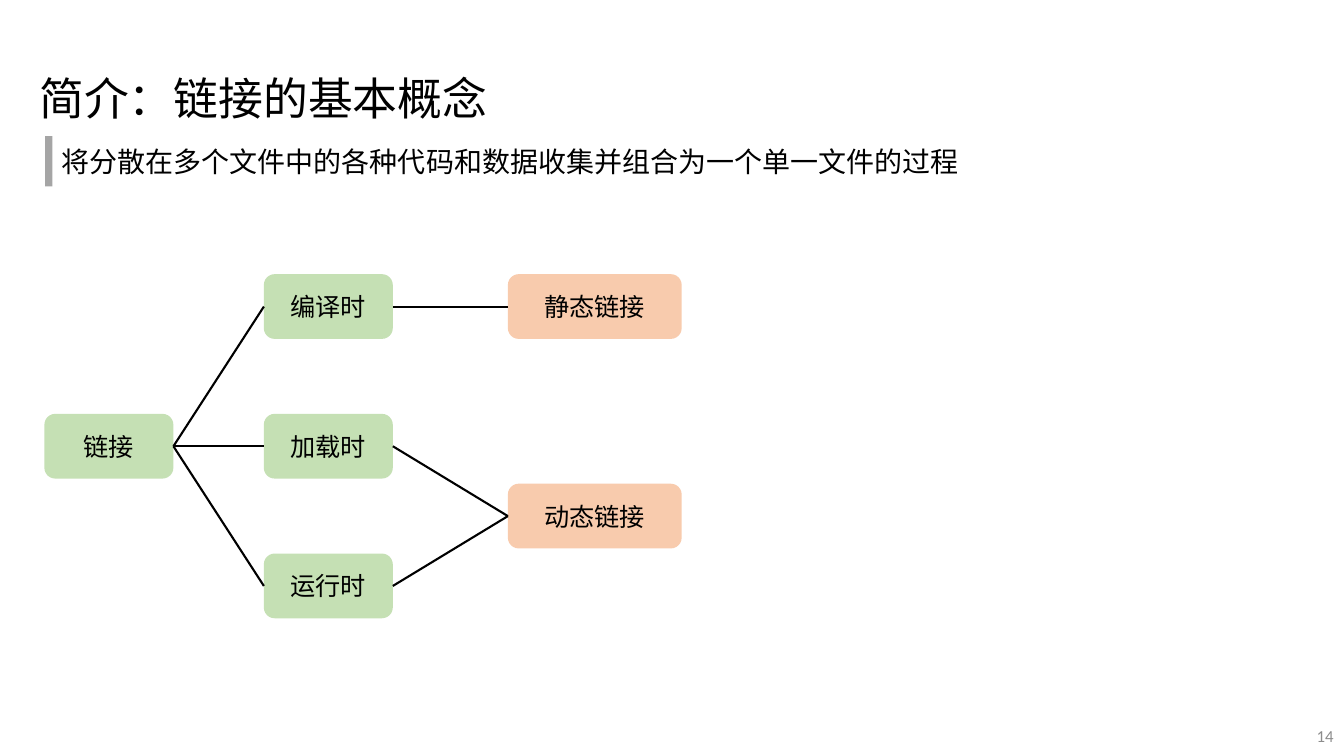
from lxml import etree
from pptx import Presentation
from pptx.dml.color import RGBColor
from pptx.enum.shapes import MSO_CONNECTOR, MSO_SHAPE
from pptx.enum.text import MSO_ANCHOR, PP_ALIGN
from pptx.oxml.ns import qn
from pptx.util import Cm, Pt

LINE = MSO_CONNECTOR.STRAIGHT
RECT, ROUND = MSO_SHAPE.RECTANGLE, MSO_SHAPE.ROUNDED_RECTANGLE
TOP, MIDDLE = MSO_ANCHOR.TOP, MSO_ANCHOR.MIDDLE
LEFT, CENTER, RIGHT = PP_ALIGN.LEFT, PP_ALIGN.CENTER, PP_ALIGN.RIGHT
BLACK = RGBColor(0x00, 0x00, 0x00)
GRAY = RGBColor(0x8C, 0x8C, 0x8C)
BAR = RGBColor(0xA5, 0xA5, 0xA5)
GREEN = RGBColor(0xC5, 0xE0, 0xB4)
ORANGE = RGBColor(0xF8, 0xCB, 0xAD)
SANS, LATIN = "Noto Sans CJK SC", "Calibri"


def write(shape, text, size, font, color, align, anchor=MIDDLE):
    frame = shape.text_frame
    frame.word_wrap = True
    frame.vertical_anchor = anchor
    para = frame.paragraphs[0]
    para.alignment = align
    run = para.add_run()
    run.text = text
    run.font.size = Pt(size)
    run.font.name = font
    run.font.color.rgb = color
    # East Asian glyphs take their own typeface
    etree.SubElement(run.font._element, qn("a:ea"), typeface=SANS)
    return para


def draw(kind, left, top, width, height, color):
    shape = slide.shapes.add_shape(kind, Cm(left), Cm(top), Cm(width), Cm(height))
    shape.shadow.inherit = False
    shape.fill.solid()
    shape.fill.fore_color.rgb = color
    shape.line.fill.background()
    return shape


deck = Presentation()
deck.slide_width, deck.slide_height = Cm(33.87), Cm(19.05)
slide = deck.slides.add_slide(deck.slide_layouts[6])

# Page number, title and definition
page = slide.shapes.add_textbox(Cm(26.24), Cm(18.03), Cm(7.62), Cm(1.02))
write(page, "14", 12, LATIN, GRAY, RIGHT)
title = slide.shapes.add_textbox(Cm(0.74), Cm(1.8), Cm(12.6), Cm(1.63))
write(title, "简介：链接的基本概念", 32, LATIN, BLACK, LEFT, TOP).line_spacing = 0.9
note = slide.shapes.add_textbox(Cm(1.3), Cm(3.43), Cm(23.44), Cm(1.27))
write(note, "将分散在多个文件中的各种代码和数据收集并组合为一个单一文件的过程",
      20, SANS, BLACK, LEFT)
draw(RECT, 1.14, 3.43, 0.18, 1.27, BAR)

# Tree nodes: text, left, row, width, fill
FIRST, PITCH, HIGH = 6.91, 3.52, 1.63
nodes = [
    ("链接", 1.12, 1, 3.25, GREEN),
    ("编译时", 6.65, 0, 3.25, GREEN),
    ("加载时", 6.65, 1, 3.25, GREEN),
    ("运行时", 6.65, 2, 3.25, GREEN),
    ("静态链接", 12.8, 0, 4.38, ORANGE),
    ("动态链接", 12.8, 1.5, 4.38, ORANGE),
]
boxes = {}
for text, left, row, width, color in nodes:
    box = draw(ROUND, left, FIRST + row * PITCH, width, HIGH, color)
    write(box, text, 18, SANS, BLACK, CENTER)
    boxes[text] = box

# Links run from the right side of one node to the left side of the next
links = [
    ("链接", "编译时"), ("链接", "加载时"), ("链接", "运行时"),
    ("编译时", "静态链接"), ("加载时", "动态链接"), ("运行时", "动态链接"),
]
for start, end in links:
    link = slide.shapes.add_connector(LINE, 0, 0, 0, 0)
    link.begin_connect(boxes[start], 3)
    link.end_connect(boxes[end], 1)
    link.line.color.rgb = BLACK
    link.line.width = Pt(1.5)
    etree.SubElement(link._element.spPr, qn("a:effectLst"))

deck.save("out.pptx")
